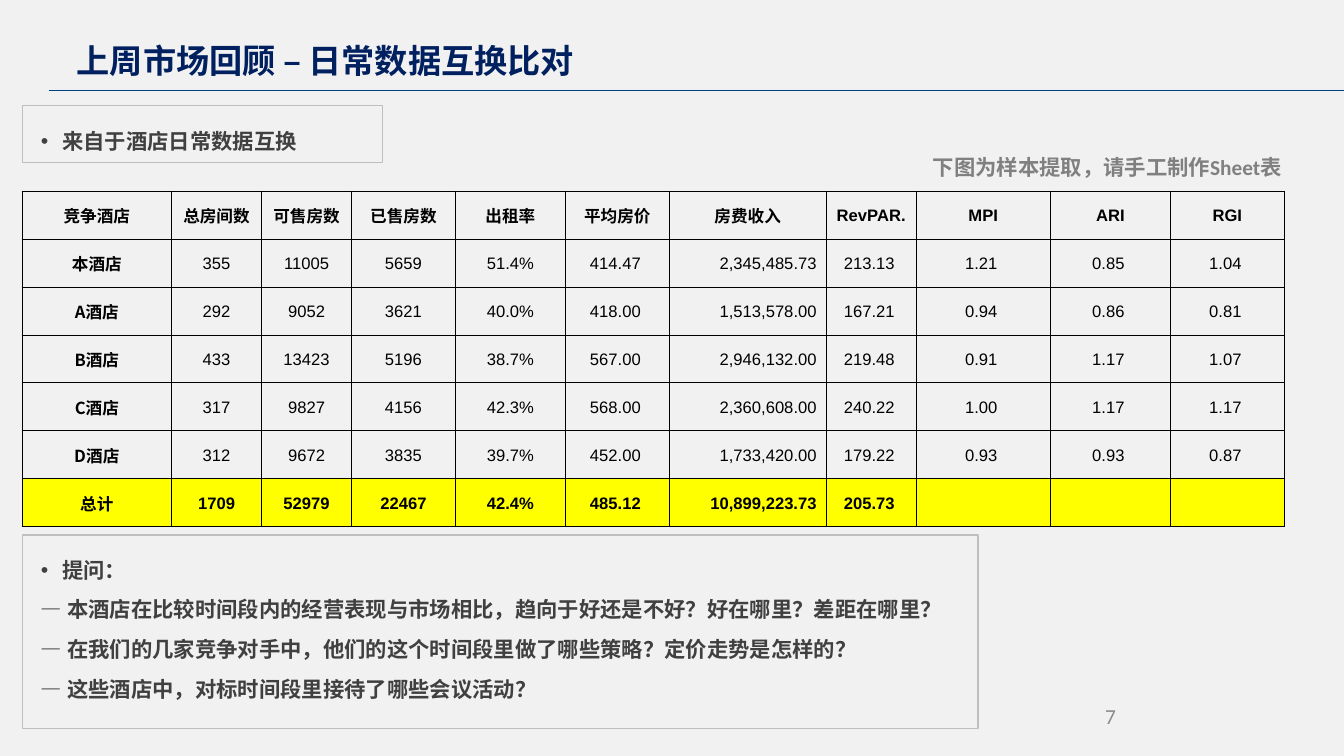
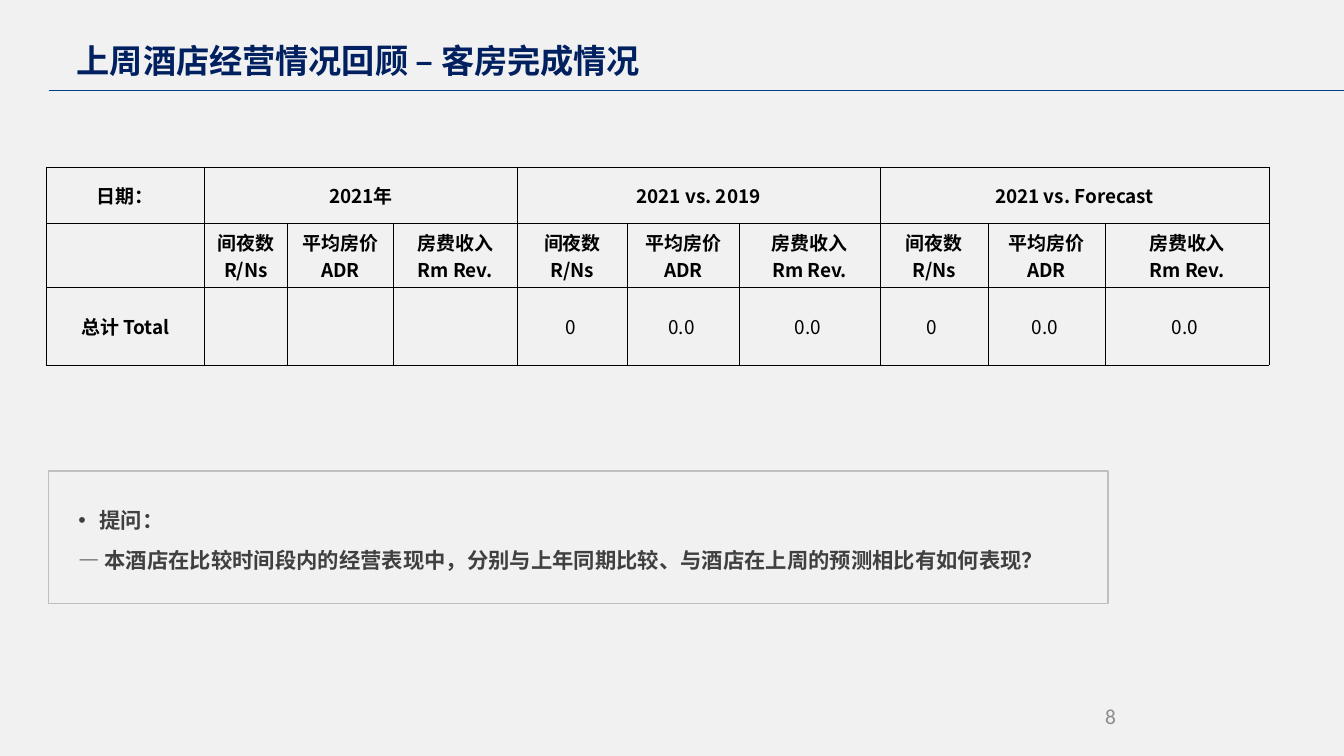
from lxml.etree import SubElement
from pptx import Presentation
from pptx.dml.color import RGBColor
from pptx.enum.shapes import MSO_CONNECTOR as Link, MSO_SHAPE as Preset
from pptx.enum.text import MSO_ANCHOR as Anchor, PP_ALIGN as Align
from pptx.oxml.ns import qn
from pptx.util import Pt

NOTO, ARIAL, CALIBRI = "Noto Sans CJK SC", "Arial", "Calibri"
PAPER, RULE, FRAME = "F1F1F1", "004083", "BFBFBF"
BLACK, YELLOW = "000000", "FFFF00"
TITLE = dict(name=NOTO, size=28, color="002060", bold=True)
NOTE = dict(name=NOTO, size=18, color="404040", bold=True)
HINT = dict(name=CALIBRI, size=18, color="808080", bold=True)
NUMBER = dict(name=CALIBRI, size=18, color="8C8C8C", bold=False)

MARKET = dict(
    place=(18.7, 161.3), size=14, border=1, body_font=ARIAL,
    columns=[126, 76, 76, 87.5, 93, 87.5, 132.5, 76, 113, 101.5, 96],
    heights=[40.5] * 7, spans=[], bold_rows=(0, 6), filled_row=6,
    shifted_columns=range(5, 11), money_column=6,
    rows=[
        ["竞争酒店", "总房间数", "可售房数", "已售房数", "出租率", "平均房价",
         "房费收入", "RevPAR.", "MPI", "ARI", "RGI"],
        ["本酒店", "355", "11005", "5659", "51.4%", "414.47",
         "2,345,485.73", "213.13", "1.21", "0.85", "1.04"],
        ["A酒店", "292", "9052", "3621", "40.0%", "418.00",
         "1,513,578.00", "167.21", "0.94", "0.86", "0.81"],
        ["B酒店", "433", "13423", "5196", "38.7%", "567.00",
         "2,946,132.00", "219.48", "0.91", "1.17", "1.07"],
        ["C酒店", "317", "9827", "4156", "42.3%", "568.00",
         "2,360,608.00", "240.22", "1.00", "1.17", "1.17"],
        ["D酒店", "312", "9672", "3835", "39.7%", "452.00",
         "1,733,420.00", "179.22", "0.93", "0.93", "0.87"],
        ["总计", "1709", "52979", "22467", "42.4%", "485.12",
         "10,899,223.73", "205.73", "", "", ""],
    ],
)
ROOMS = dict(
    place=(39, 141), size=16, border=0.5, body_font=NOTO,
    columns=[133.5, 70, 89.5, 104.5, 93, 94.5, 118.5, 91.5, 98.5, 138.5],
    heights=[47.5, 54, 65.5], spans=[(1, 3), (4, 6), (7, 9)],
    bold_rows=(0, 1), filled_row=None,
    shifted_columns=range(4, 10), money_column=None,
    rows=[
        ["日期：", "2021年", "", "", "2021 vs. 2019", "", "",
         "2021 vs. Forecast", "", ""],
        [""] + ["间夜数\nR/Ns", "平均房价\nADR", "房费收入\nRm Rev."] * 3,
        ["总计 Total", "", "", ""] + ["0", "0.0", "0.0"] * 2,
    ],
)
PAGES = [
    dict(
        number="7", title="上周市场回顾 – 日常数据互换比对", table=MARKET,
        frames=[(18.7, 89.3, 304, 48), (18.7, 451.5, 806.5, 163.5)],
        notes=[
            ((9.4, 96.5, 446, 34.5), "来自于酒店日常数据互换", []),
            ((9.4, 458, 798, 138), "提问：", [
                "— 本酒店在比较时间段内的经营表现与市场相比，趋向于好还是不好？好在哪里？差距在哪里？",
                "— 在我们的几家竞争对手中，他们的这个时间段里做了哪些策略？定价走势是怎样的？",
                "— 这些酒店中，对标时间段里接待了哪些会议活动？",
            ]),
        ],
        hint="下图为样本提取，请手工制作Sheet表",
    ),
    dict(
        number="8", title="上周酒店经营情况回顾 – 客房完成情况", table=ROOMS,
        frames=[(41, 397.5, 894, 112)],
        notes=[
            ((41, 416, 883.5, 69), "提问：", [
                "— 本酒店在比较时间段内的经营表现中，分别与上年同期比较、与酒店在上周的预测相比有如何表现？",
            ]),
        ],
        hint="",
    ),
]


def paint(value):
    return RGBColor.from_string(value)


def points(values):
    return [Pt(value) for value in values]


def apply(target, formats):
    for name, value in formats.items():
        setattr(target, name, value)


def write(para, text, look, align=Align.LEFT):
    para.text = text
    para.alignment = align
    for span in para.runs:
        apply(span.font, dict(name=look["name"], size=Pt(look["size"]), bold=look["bold"]))
        span.font.color.rgb = paint(look["color"])
        SubElement(span.font._element, qn("a:ea"), typeface=NOTO)


def add_text_box(page, place, inset=(0, 0)):
    frame = page.shapes.add_textbox(*points(place)).text_frame
    side, top = points(inset)
    apply(frame, dict(word_wrap=True, margin_left=side, margin_right=side,
                      margin_top=top, margin_bottom=top))
    return frame


def add_rule(page):
    rule = page.shapes.add_connector(Link.STRAIGHT, *points((41, 76.3, 1134, 76.3)))
    rule.line.color.rgb = paint(RULE)
    rule.line.width = Pt(0.6)
    SubElement(rule._element.spPr, qn("a:effectLst"))


def add_frame(page, place):
    box = page.shapes.add_shape(Preset.RECTANGLE, *points(place))
    box.shadow.inherit = False
    box.fill.background()
    box.line.color.rgb = paint(FRAME)
    box.line.width = Pt(1)


def add_notes(page, place, heading, questions):
    frame = add_text_box(page, place, (7.2, 3.6))
    for index, text in enumerate([heading] + questions):
        para = frame.add_paragraph() if index else frame.paragraphs[0]
        properties = para._p.get_or_add_pPr()
        properties.set("marL", str(Pt(18 if index else 36)))
        properties.set("indent", str(Pt(0 if index else -18)))
        if not index:
            SubElement(properties, qn("a:buFont"), typeface=ARIAL)
            SubElement(properties, qn("a:buChar"), char="•")
        apply(para, dict(line_spacing=Pt(30), space_after=Pt(3.6)))
        write(para, text, NOTE, Align.JUSTIFY)


def add_borders(cell, width):
    properties = cell._tc.get_or_add_tcPr()
    for side in ("a:lnL", "a:lnR", "a:lnT", "a:lnB"):
        line = SubElement(properties, qn(side), w=str(Pt(width)))
        SubElement(SubElement(line, qn("a:solidFill")), qn("a:srgbClr"), val=BLACK)


def fill_cell(cell, data, row, column):
    add_borders(cell, data["border"])
    if row == data["filled_row"]:
        cell.fill.solid()
        cell.fill.fore_color.rgb = paint(YELLOW)
    else:
        cell.fill.background()
    body = row > 0 and data["rows"][row][column][:1].isdigit()
    money = body and column == data["money_column"]
    shifted = body and column in data["shifted_columns"]
    right = 8 if money else 4 if shifted else 0.7
    apply(cell, dict(vertical_anchor=Anchor.MIDDLE, margin_left=Pt(0.7), margin_top=Pt(0.7),
                     margin_right=Pt(right), margin_bottom=0))
    look = dict(name=data["body_font"] if column else NOTO, size=data["size"], color=BLACK,
                bold=row in data["bold_rows"] or column == 0)
    write(cell.text_frame.paragraphs[0], data["rows"][row][column], look,
          Align.RIGHT if money else Align.CENTER)


def add_data_table(page, data):
    widths, heights = data["columns"], data["heights"]
    place = (*data["place"], sum(widths), sum(heights))
    table = page.shapes.add_table(len(heights), len(widths), *points(place)).table
    apply(table, dict(first_row=False, horz_banding=False))
    for column, width in zip(table.columns, widths):
        column.width = Pt(width)
    for row, height in zip(table.rows, heights):
        row.height = Pt(height)
    for row in range(len(heights)):
        for column in range(len(widths)):
            fill_cell(table.cell(row, column), data, row, column)
    for first, last in data["spans"]:
        table.cell(0, first).merge(table.cell(0, last))


def add_page(deck, content):
    page = deck.slides.add_slide(deck.slide_layouts[6])
    page.background.fill.solid()
    page.background.fill.fore_color.rgb = paint(PAPER)
    add_rule(page)
    title = add_text_box(page, (64.8, 33, 563, 34.5), (0, 0.7))
    write(title.paragraphs[0], content["title"], TITLE)
    for place in content["frames"]:
        add_frame(page, place)
    add_data_table(page, content["table"])
    for note in content["notes"]:
        add_notes(page, *note)
    if content["hint"]:
        hint = add_text_box(page, (723, 126.7, 365.5, 29), (7.2, 3.6))
        write(hint.paragraphs[0], content["hint"], HINT, Align.RIGHT)
    number = add_text_box(page, (681, 593.3, 260.5, 21.6))
    write(number.paragraphs[0], content["number"], NUMBER, Align.RIGHT)


def main():
    """Build the two hotel review slides and save the deck."""
    deck = Presentation()
    apply(deck, dict(slide_width=Pt(1134), slide_height=Pt(638)))
    for content in PAGES:
        add_page(deck, content)
    deck.save("out.pptx")


if __name__ == "__main__":
    main()
